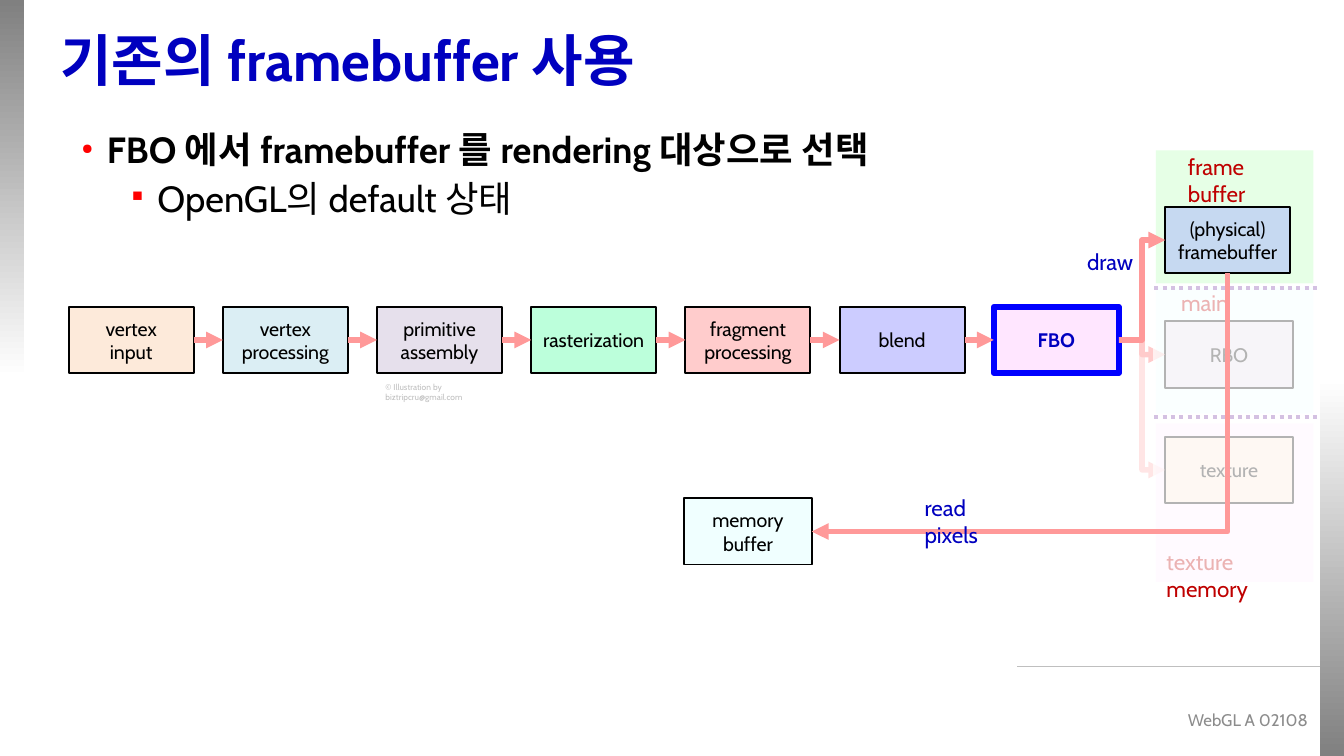
from lxml.etree import SubElement
from pptx import Presentation
from pptx.dml.color import RGBColor
from pptx.enum.dml import MSO_LINE
from pptx.enum.shapes import MSO_CONNECTOR as LINK, MSO_SHAPE
from pptx.enum.text import MSO_ANCHOR as ANCHOR, PP_ALIGN as ALIGN
from pptx.oxml.ns import qn
from pptx.util import Pt

FONT = "Cabin"
BLACK = RGBColor(0x00, 0x00, 0x00)
WHITE = RGBColor(0xFF, 0xFF, 0xFF)
GRAY = RGBColor(0x80, 0x80, 0x80)
FOOTER_GRAY = RGBColor(0x8C, 0x8C, 0x8C)
PALE_GRAY = RGBColor(0xBF, 0xBF, 0xBF)
NAVY = RGBColor(0x00, 0x00, 0xBF)
BLUE = RGBColor(0x00, 0x00, 0xFF)
RED = RGBColor(0xBF, 0x00, 0x00)
PURPLE = RGBColor(0x70, 0x30, 0xA0)
PINK = RGBColor(0xFF, 0x99, 0x99)
PALE_PINK = RGBColor(0xFF, 0xCC, 0xCC)
LILAC = RGBColor(0xE6, 0xE0, 0xEC)
CREAM = RGBColor(0xFD, 0xEA, 0xDA)
ICE = RGBColor(0xF0, 0xFF, 0xFF)

# Content
TITLE = "기존의 framebuffer 사용"
POINTS = [  # text, bullet, left margin, space before, bold
    ("FBO 에서 framebuffer 를 rendering 대상으로 선택", "●", 13.5, 0, True),
    ("OpenGL의 default 상태", "■", 40.5, 3.8, False),
]
STAGES = [
    ("vertex\ninput", CREAM),
    ("vertex\nprocessing", RGBColor(0xDB, 0xEE, 0xF4)),
    ("primitive assembly", LILAC),
    ("rasterization", RGBColor(0xBC, 0xFF, 0xDB)),
    ("fragment processing", RGBColor(0xFF, 0xCC, 0xCC)),
    ("blend", RGBColor(0xCC, 0xCC, 0xFF)),
    ("FBO", RGBColor(0xFF, 0xE6, 0xFF)),
]
MEMORY_PANELS = [  # top, height, colour
    (80.6, 71.3, RGBColor(0xE6, 0xFF, 0xE6)),
    (154, 67.7, ICE),
    (226.8, 85, RGBColor(0xFF, 0xF0, 0xFF)),
]
MEMORY_LABELS = [  # text, left, top, width
    ("frame buffer", 629.3, 78.5, 73),
    ("main memory", 625.7, 151.2, 80),
    ("texture memory", 617.8, 290.2, 91),
]
TARGETS = [  # text, top, width, colour
    ("(physical) framebuffer", 110.9, 67, RGBColor(0xC6, 0xD9, 0xF1)),
    ("RBO", 172.2, 68.4, LILAC),
    ("texture", 234, 68.4, CREAM),
]
CREDIT = "© Illustration by biztripcru@gmail.com"
FOOTER = "WebGL A 02108"

BOX_W, BOX_H = 67, 35.5
STAGE_LEFT, STAGE_TOP, STAGE_PITCH = 36.8, 164.4, 82.6
TARGET_LEFT = 624.2

prs = Presentation()
prs.slide_width, prs.slide_height = Pt(720), Pt(405)
slide = prs.slides.add_slide(prs.slide_layouts[6])
shapes = slide.shapes


def write(paragraph, text, size=10.5, color=BLACK, bold=False, align=None, spacing=None):
    paragraph.alignment = align
    paragraph.line_spacing = spacing
    run = paragraph.add_run()
    run.text = text
    run.font.name, run.font.size, run.font.bold = FONT, Pt(size), bold
    run.font.color.rgb = color


def set_alpha(fill_parent, percent):
    color = next(fill_parent.iter(qn("a:srgbClr")))
    SubElement(color, qn("a:alpha"), val=str(percent * 1000))


def add_rect(left, top, width, height, fill=None, alpha=None):
    rect = shapes.add_shape(MSO_SHAPE.RECTANGLE, Pt(left), Pt(top), Pt(width), Pt(height))
    rect.shadow.inherit = False
    rect.line.fill.background()
    if fill is not None:
        rect.fill.solid()
        rect.fill.fore_color.rgb = fill
        if alpha:
            set_alpha(rect.fill._xPr, alpha)
    return rect


def add_box(text, left, top, width, fill, border=BLACK, weight=1, **style):
    box = add_rect(left, top, width, BOX_H, fill)
    box.line.color.rgb, box.line.width = border, Pt(weight)
    frame = box.text_frame
    frame.word_wrap, frame.vertical_anchor = True, ANCHOR.MIDDLE
    frame.margin_left = frame.margin_right = Pt(5)
    frame.margin_top = frame.margin_bottom = Pt(2.9)
    for i, line in enumerate(text.split("\n")):
        paragraph = frame.add_paragraph() if i else frame.paragraphs[0]
        write(paragraph, line, align=ALIGN.CENTER, **style)
    return box


def add_label(text, left, top, width, height, wrap=True, anchor=ANCHOR.TOP, **style):
    label = shapes.add_textbox(Pt(left), Pt(top), Pt(width), Pt(height))
    label.text_frame.word_wrap = wrap
    label.text_frame.vertical_anchor = anchor
    write(label.text_frame.paragraphs[0], text, **style)
    return label


def add_caption(text, left, top, width, wrap):
    caption = add_label(text, left, top, width, 21.6, wrap, size=12, color=NAVY)
    caption.fill.solid()
    caption.fill.fore_color.rgb = WHITE
    set_alpha(caption.fill._xPr, 50)


def add_line(color, weight, x1=0, y1=0, x2=0, y2=0, kind=LINK.STRAIGHT):
    line = shapes.add_connector(kind, Pt(x1), Pt(y1), Pt(x2), Pt(y2))
    line.line.color.rgb, line.line.width = color, Pt(weight)
    SubElement(line._element.spPr, qn("a:effectLst"))
    return line


def add_arrow(start, start_side, end, end_side, color=PINK, alpha=None, kind=LINK.ELBOW):
    arrow = add_line(color, 3, kind=kind)
    arrow.begin_connect(start, start_side)
    arrow.end_connect(end, end_side)
    ln = arrow.line._get_or_add_ln()
    if alpha:
        set_alpha(ln, alpha)
    SubElement(ln, qn("a:tailEnd"), type="triangle")
    return arrow


# Side bands and footer rule
for left, top, colors in [(707, 202.5, (WHITE, GRAY)), (0, 0, (GRAY, WHITE))]:
    band = add_rect(left, top, 13, 202.5)
    band.fill.gradient()
    band.fill.gradient_angle = 270
    for stop, color, position in zip(band.fill.gradient_stops, colors, (0, 1)):
        stop.color.rgb, stop.position = color, position
add_line(PALE_GRAY, 0.5, 707, 357, 545, 357)

# Memory areas
for top, height, color in MEMORY_PANELS:
    add_rect(619.2, top, 84.4, height, color)
for y in (154.2, 223.3):
    add_line(PURPLE, 2.25, 618.3, y, 707, y).line.dash_style = MSO_LINE.ROUND_DOT
for text, left, top, width in MEMORY_LABELS:
    add_label(text, left, top, width, 21.6, size=12, color=RED)

# Title, bullet points and footer
add_label(TITLE, 25.2, 10.8, 682, 46, anchor=ANCHOR.MIDDLE,
          size=30, color=NAVY, bold=True, spacing=0.9)
body = shapes.add_textbox(Pt(36.7), Pt(66.2), Pt(670), Pt(289.4)).text_frame
body.word_wrap = True
for i, (text, bullet, margin, before, bold) in enumerate(POINTS):
    point = body.add_paragraph() if i else body.paragraphs[0]
    pPr = point._p.get_or_add_pPr()
    pPr.set("marL", str(Pt(margin)))
    pPr.set("indent", str(-Pt(13.5)))
    SubElement(SubElement(pPr, qn("a:buClr")), qn("a:srgbClr"), val="FF0000")
    SubElement(pPr, qn("a:buSzPct"), val="40000")
    SubElement(pPr, qn("a:buChar"), char=bullet)
    if before:
        point.space_before = Pt(before)
    write(point, text, size=19.5, bold=bold, spacing=0.95)
add_label(FOOTER, 379.4, 375, 328.3, 21.6, anchor=ANCHOR.MIDDLE,
          size=9, color=FOOTER_GRAY, align=ALIGN.RIGHT)

# Pipeline stages
stages = []
for i, (text, color) in enumerate(STAGES):
    accent = dict(border=BLUE, weight=3, color=NAVY, bold=True) if text == "FBO" else {}
    stages.append(add_box(text, STAGE_LEFT + i * STAGE_PITCH, STAGE_TOP, BOX_W, color, **accent))
for stage, following in zip(stages, stages[1:]):
    add_arrow(stage, 3, following, 1, kind=LINK.STRAIGHT)
fbo = stages[-1]
add_label(CREDIT, 199.4, 200.9, 84, 13, size=4.5, color=PALE_GRAY)

# Render targets, the inactive ones under a white veil
physical, rbo, texture = [add_box(text, TARGET_LEFT, top, width, color)
                          for text, top, width, color in TARGETS]
add_arrow(fbo, 3, rbo, 1, alpha=50)
add_arrow(fbo, 3, texture, 1, color=PALE_PINK, alpha=50)
add_caption("draw", 575.3, 129.6, 38.9, wrap=False)
add_arrow(fbo, 3, physical, 1)
add_rect(617.8, 152, 89.2, 160, WHITE, alpha=70)

# Reading pixels back: down from the framebuffer, then left to the buffer
buffer = add_box("memory buffer", 366.5, 267, 68.4, ICE)
readback = add_arrow(physical, 2, buffer, 3)
start_x, start_y = readback.begin_x.pt, readback.begin_y.pt
end_x, end_y = readback.end_x.pt, readback.end_y.pt
drop, run_left = end_y - start_y, start_x - end_x
readback.left = Pt((start_x + end_x - drop) / 2)
readback.top = Pt((start_y + end_y - run_left) / 2)
readback.width, readback.height = Pt(drop), Pt(run_left)
xfrm = readback._element.spPr.find(qn("a:xfrm"))
for flip in ("flipH", "flipV"):
    xfrm.attrib.pop(flip, None)
xfrm.set("rot", str(90 * 60000))
readback._element.spPr.find(qn("a:prstGeom")).set("prst", "bentConnector2")
add_caption("read pixels", 488.2, 261.4, 65, wrap=True)

prs.save("out.pptx")
